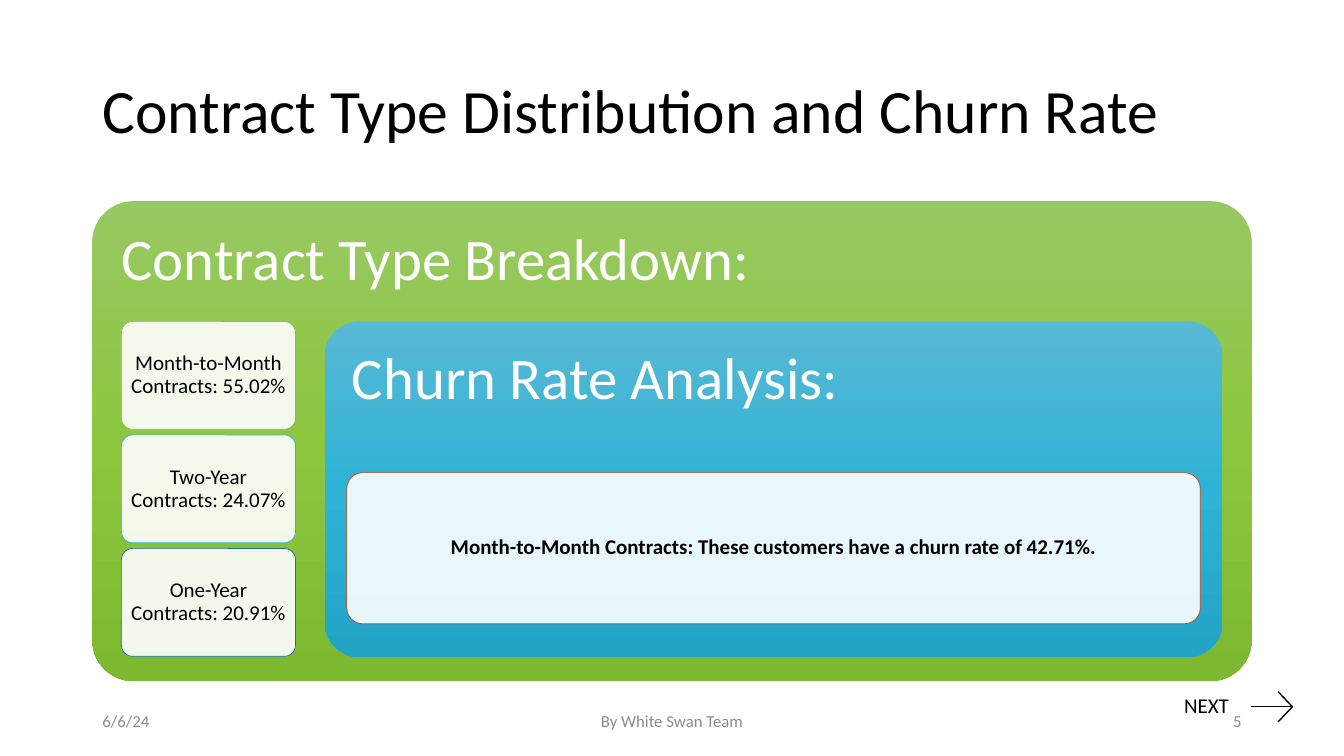
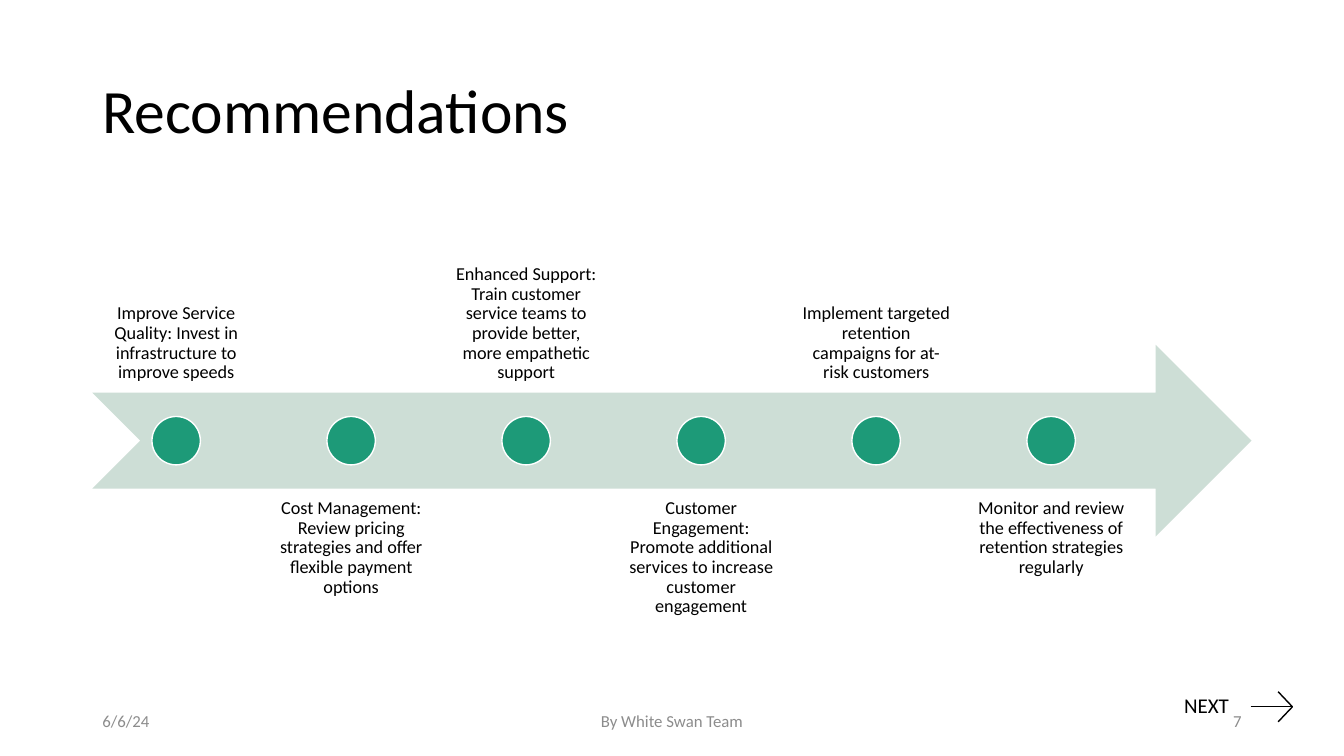
import copy
from dataclasses import dataclass

import pptx
import pptx.dml.color
import pptx.enum.shapes
import pptx.enum.text
import pptx.oxml
import pptx.oxml.ns
import pptx.util

Cm = pptx.util.Cm
Pt = pptx.util.Pt
Shape = pptx.enum.shapes.MSO_SHAPE
Align = pptx.enum.text.PP_ALIGN
Anchor = pptx.enum.text.MSO_ANCHOR
qn = pptx.oxml.ns.qn


@dataclass(frozen=True)
class Theme:
    font: str = "Calibri"
    black: str = "000000"
    white: str = "FFFFFF"
    footer_gray: str = "8C8C8C"
    green_panel: tuple = ("98C862", "8CC73F", "7DB831")
    blue_panel: tuple = ("59B8D4", "2EB3D6", "21A4C6")
    card_lines: tuple = ("8BC145", "36AFCE", "1D6FA9")
    accent_line: str = "B74919"
    arrow: str = "CDDED6"
    dot: str = "1D9A78"
    title_size: float = 44
    heading_size: float = 42
    card_size: float = 15
    step_size: float = 13
    footer_size: float = 12
    left: float = 2.33
    width: float = 29.21


class Deck:
    def __init__(self, theme):
        self.theme = theme
        self.presentation = pptx.Presentation()
        self.presentation.slide_width = Cm(33.87)
        self.presentation.slide_height = Cm(19.05)
        self.slide = None

    def color(self, value):
        return pptx.dml.color.RGBColor.from_string(value)

    def set_text(self, shape, text, size, color=None, align=Align.LEFT,
                 anchor=Anchor.MIDDLE, insets=(0.25, 0.13), bold=False, spacing=0.9):
        frame = shape.text_frame
        frame.word_wrap = True
        frame.vertical_anchor = anchor
        frame.margin_left = frame.margin_right = Cm(insets[0])
        frame.margin_top = frame.margin_bottom = Cm(insets[1])
        paragraph = frame.paragraphs[0]
        paragraph.text = text
        paragraph.alignment = align
        paragraph.line_spacing = spacing
        paragraph.font.name = self.theme.font
        paragraph.font.size = Pt(size)
        paragraph.font.bold = bold
        paragraph.font.color.rgb = self.color(color or self.theme.black)

    def text(self, box, text, size, **style):
        shape = self.slide.shapes.add_textbox(*map(Cm, box))
        self.set_text(shape, text, size, **style)

    def shape(self, kind, box, fill=None, line=None, line_width=0.5, corner=None):
        shape = self.slide.shapes.add_shape(kind, *map(Cm, box))
        shape.shadow.inherit = False
        if corner is not None:
            shape.adjustments[0] = corner
        if fill:
            shape.fill.solid()
            shape.fill.fore_color.rgb = self.color(fill)
        if line:
            shape.line.color.rgb = self.color(line)
            shape.line.width = Pt(line_width)
        else:
            shape.line.fill.background()
        return shape

    def panel(self, box, heading, colors, corner):
        panel = self.shape(Shape.ROUNDED_RECTANGLE, box, corner=corner)
        panel.fill.gradient()
        panel.fill.gradient_angle = 270
        stops = panel._element.spPr.find(".//" + qn("a:gsLst"))
        stops.insert(1, copy.deepcopy(stops[0]))
        for stop, value, position in zip(panel.fill.gradient_stops, colors, (0, 0.5, 1)):
            stop.color.rgb = self.color(value)
            stop.position = position
        self.set_text(panel, heading, self.theme.heading_size, color=self.theme.white,
                      anchor=Anchor.TOP, insets=(0.43, 0.43))

    def card(self, box, text, line, bold=False):
        card = self.shape(Shape.ROUNDED_RECTANGLE, box, self.theme.white, line, corner=0.105)
        color = card._element.spPr.find(qn("a:solidFill")).find(qn("a:srgbClr"))
        alpha = pptx.oxml.parse_xml(f'<a:alpha {pptx.oxml.ns.nsdecls("a")} val="90000"/>')
        color.append(alpha)
        self.set_text(card, text, self.theme.card_size, align=Align.CENTER,
                      insets=(0.15, 0.15), bold=bold)

    def line(self, start, end):
        line = self.slide.shapes.add_connector(
            pptx.enum.shapes.MSO_CONNECTOR.STRAIGHT, *map(Cm, start + end))
        line.line.color.rgb = self.color(self.theme.black)
        line.line.width = Pt(1)
        effects = pptx.oxml.parse_xml(f'<a:effectLst {pptx.oxml.ns.nsdecls("a")}/>')
        line._element.spPr.append(effects)

    def next_mark(self):
        middle = 17.81
        self.line((31.52, middle), (32.59, middle))
        for offset in (-0.38, 0.38):
            self.line((32.21, middle + offset), (32.57, middle))
        self.text((29.74, 17.4, 2.11, 0.84), "NEXT", self.theme.card_size,
                  anchor=Anchor.TOP, insets=(0.1, 0.13))

    def add_slide(self, title, number):
        self.slide = self.presentation.slides.add_slide(self.presentation.slide_layouts[6])
        self.next_mark()
        self.text((self.theme.left, 1.01, self.theme.width, 3.68), title, self.theme.title_size)
        footers = (
            (self.theme.left, 7.62, "6/6/24", Align.LEFT),
            (11.22, 11.43, "By White Swan Team", Align.CENTER),
            (23.92, 7.62, str(number), Align.RIGHT),
        )
        for left, width, text, align in footers:
            self.text((left, 17.65, width, 1.01), text, self.theme.footer_size,
                      color=self.theme.footer_gray, align=align, spacing=1.0)

    def timeline(self, steps):
        left, top, height = self.theme.left, 8.69, 4.83
        step_width, pitch, dot_size = 4.22, 4.41, 1.22
        self.shape(Shape.NOTCHED_RIGHT_ARROW, (left, top, self.theme.width, height),
                   self.theme.arrow)
        dot_top = top + (height - dot_size) / 2
        for index, step in enumerate(steps):
            step_left = left + index * pitch
            below = index % 2 == 1
            self.text((step_left, 12.32 if below else 5.07, step_width, height), step,
                      self.theme.step_size, align=Align.CENTER,
                      anchor=Anchor.TOP if below else Anchor.BOTTOM, insets=(0.25, 0.25))
            self.shape(Shape.OVAL,
                       (step_left + (step_width - dot_size) / 2, dot_top, dot_size, dot_size),
                       self.theme.dot, self.theme.white, 1)


def contract_slide(deck):
    theme = deck.theme
    deck.add_slide("Contract Type Distribution and Churn Rate", 5)
    deck.panel((theme.left, 5.07, theme.width, 12.09), "Contract Type Breakdown:",
               theme.green_panel, 0.085)
    contracts = (
        "Month-to-Month Contracts: 55.02%",
        "Two-Year Contracts: 24.07%",
        "One-Year Contracts: 20.91%",
    )
    for index, (contract, line) in enumerate(zip(contracts, theme.card_lines)):
        deck.card((3.06, 8.1 + index * 2.86, 4.39, 2.72), contract, line)
    deck.panel((8.18, 8.1, 22.63, 8.46), "Churn Rate Analysis:", theme.blue_panel, 0.105)
    deck.card((8.74, 11.91, 21.51, 3.81),
              "Month-to-Month Contracts: These customers have a churn rate of 42.71%.",
              theme.accent_line, bold=True)


def recommendations_slide(deck):
    deck.add_slide("Recommendations", 7)
    deck.timeline((
        "Improve Service Quality: Invest in infrastructure to improve speeds",
        "Cost Management: Review pricing strategies and offer flexible payment options",
        "Enhanced Support: Train customer service teams to provide better, "
        "more empathetic support",
        "Customer Engagement: Promote additional services to increase customer engagement",
        "Implement targeted retention campaigns for at-risk customers",
        "Monitor and review the effectiveness of retention strategies regularly",
    ))


def main():
    deck = Deck(Theme())
    contract_slide(deck)
    recommendations_slide(deck)
    deck.presentation.save("out.pptx")


if __name__ == "__main__":
    main()
